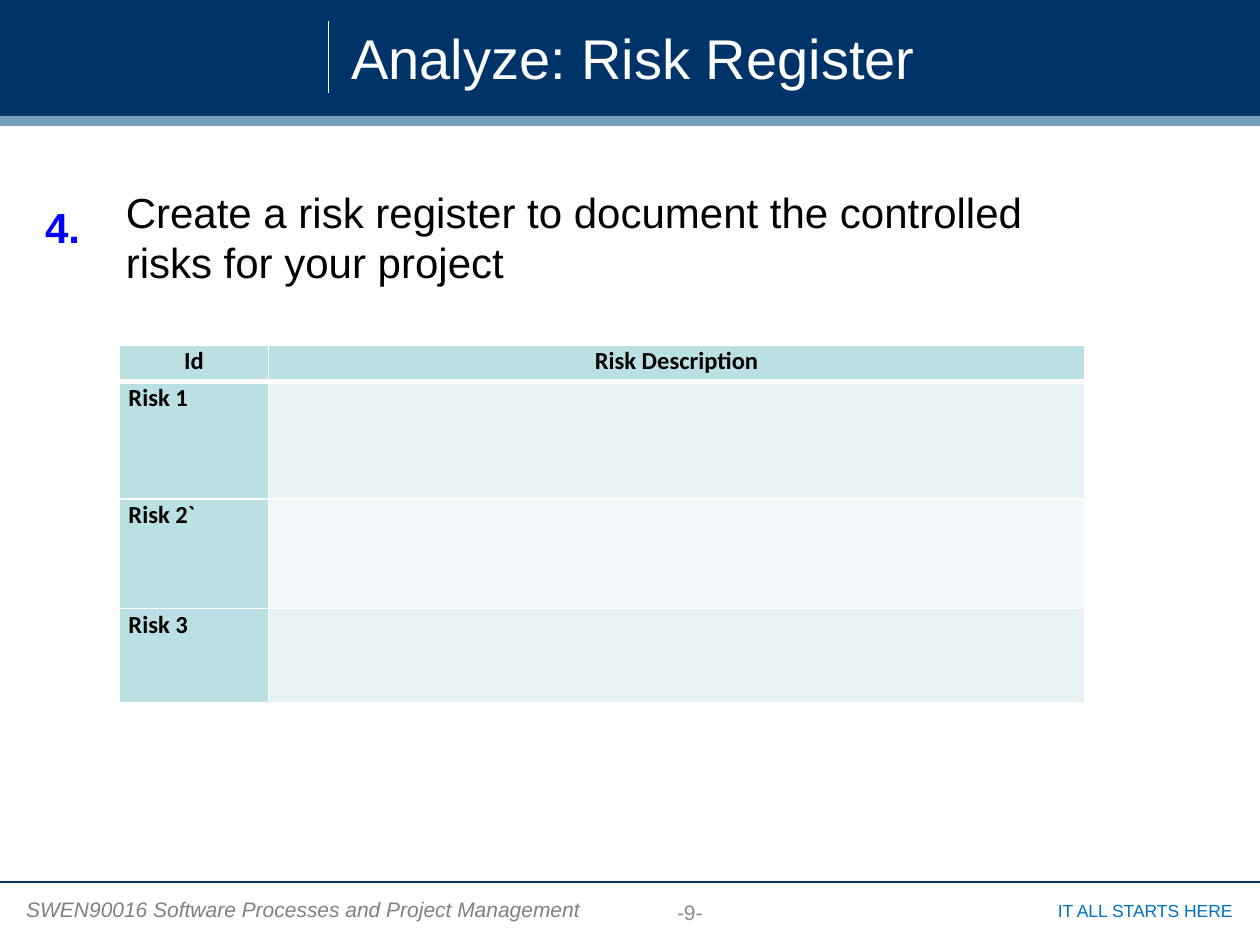
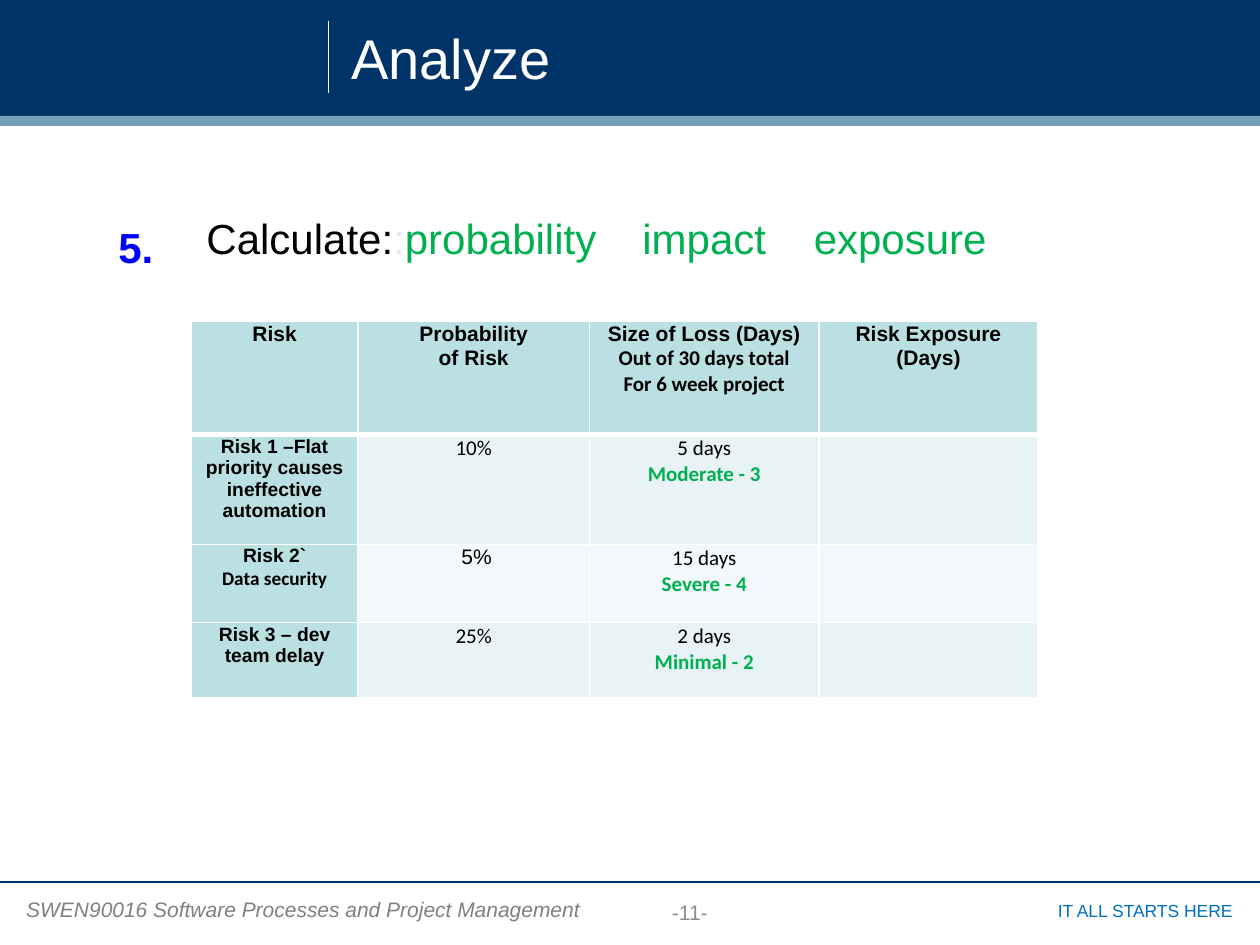
"""Build two risk analysis slides: a risk register and a risk exposure table."""
import lxml.etree
import pptx
import pptx.dml.color
import pptx.enum.shapes
import pptx.enum.text
import pptx.oxml.ns
import pptx.util

Inches = pptx.util.Inches
Pt = pptx.util.Pt
qn = pptx.oxml.ns.qn
ALIGN = pptx.enum.text.PP_ALIGN
MIDDLE = pptx.enum.text.MSO_ANCHOR.MIDDLE
TOP = pptx.enum.text.MSO_ANCHOR.TOP

NAVY = "003368"
STEEL = "759FB8"
WHITE = "FFFFFF"
BLACK = "000000"
BLUE = "0000FF"
GREEN = "00B050"
HEADER_TEAL = "BBE0E3"
ROW_TEALS = ["E7F3F4", "F3F9FA"]


def paint(fill, color):
    fill.solid()
    fill.fore_color.rgb = pptx.dml.color.RGBColor.from_string(color)


def write(paragraph, text, size=24, font="Arial", color=BLACK, bold=False, italic=False, align=ALIGN.LEFT):
    paragraph.alignment = align
    run = paragraph.add_run()
    run.text = text
    run.font.size = Pt(size)
    run.font.name = font
    run.font.bold = bold
    run.font.italic = italic
    paint(run.font.fill, color)


number = dict(color=BLUE, bold=True)
register_left = dict(size=14, font="Calibri", bold=True)
register_head = dict(register_left, align=ALIGN.CENTER)
head = dict(size=12, bold=True, align=ALIGN.CENTER)
head_note = dict(head, font="Calibri")
risk = dict(head, size=11)
risk_note = dict(risk, font="Calibri")
value = dict(head_note, bold=False)
rating = dict(head_note, color=GREEN)

slides = [
    dict(
        title="Analyze: Risk Register",
        page="-9-",
        step=("4.", 0.26, 1.55),
        task_place=(0.9, 1.43, 7.88, 0.91),
        task=[("Create a risk register to document the controlled risks for your project", BLACK)],
        tabs=[],
        table_corner=(0.95, 2.74),
        columns=[1.18, 6.48],
        rows=[0.29, 0.93, 0.87, 0.75],
        cells=[
            [[("Id", register_head)], [("Risk Description", register_head)]],
            [[("Risk 1", register_left)], []],
            [[("Risk 2`", register_left)], []],
            [[("Risk 3", register_left)], []],
        ],
    ),
    dict(
        title="Analyze",
        page="-11-",
        step=("5.", 0.84, 1.71),
        task_place=(1.54, 1.64, 6.82, 0.5),
        task=[("Calculate:", BLACK), (":", "DAEDEF"), ("probability\timpact\texposure", GREEN)],
        tabs=[3.46, 4.82],
        table_corner=(1.52, 2.55),
        columns=[1.32, 1.84, 1.82, 1.74],
        rows=[0.9, 0.87, 0.62, 0.6],
        cells=[
            [
                [("Risk", head)],
                [("Probability", head), ("of Risk", head)],
                [("Size of Loss (Days)", head), ("Out of 30 days total", head_note), ("For 6 week project", head_note)],
                [("Risk Exposure", head), ("(Days)", head)],
            ],
            [
                [("Risk 1 –Flat priority causes ineffective automation", risk)],
                [("10%", value)],
                [("5 days", value), ("Moderate - 3", rating)],
                [],
            ],
            [
                [("Risk 2`", risk), ("Data security", risk_note)],
                [(" 5%", dict(value, font="Arial"))],
                [("15 days", value), ("Severe - 4", rating)],
                [],
            ],
            [
                [("Risk 3 – dev team delay", risk)],
                [("25%", value)],
                [("2 days", value), ("Minimal - 2", rating)],
                [],
            ],
        ],
    ),
]

presentation = pptx.Presentation()
presentation.slide_width = Inches(10)
presentation.slide_height = Inches(7.5)

for content in slides:
    slide = presentation.slides.add_slide(presentation.slide_layouts[6])

    for top, height, color in [(0, 0.92, NAVY), (0.92, 0.08, STEEL)]:
        band = slide.shapes.add_shape(
            pptx.enum.shapes.MSO_SHAPE.RECTANGLE, 0, Inches(top), Inches(10), Inches(height)
        )
        band.shadow.inherit = False
        band.line.fill.background()
        paint(band.fill, color)

    for x1, y1, x2, y2, color in [(2.61, 0.17, 2.61, 0.74, WHITE), (0, 7, 10, 7, NAVY)]:
        rule = slide.shapes.add_connector(
            pptx.enum.shapes.MSO_CONNECTOR.STRAIGHT, Inches(x1), Inches(y1), Inches(x2), Inches(y2)
        )
        rule.line.width = Pt(0.75)
        paint(rule.line.fill, color)
        lxml.etree.SubElement(rule._element.spPr, qn("a:effectLst"))

    step_text, step_left, step_top = content["step"]
    boxes = [
        ((0.11, 7.07, 4.8, 0.3), TOP, "SWEN90016 Software Processes and Project Management",
         dict(size=12, color="808080", italic=True)),
        ((7.82, 7.09, 2.06, 0.27), TOP, "IT ALL STARTS HERE", dict(size=10, color="0070C0", align=ALIGN.RIGHT)),
        ((2.69, 0.08, 7.22, 0.75), MIDDLE, content["title"], dict(size=32, color=WHITE)),
        ((3.97, 7.07, 3.01, 0.34), MIDDLE, content["page"], dict(size=12, color="8C8C8C", align=ALIGN.CENTER)),
        ((step_left, step_top, 0.62, 0.5), TOP, step_text, number),
        (content["task_place"], TOP, None, {}),
    ]
    for place, anchor, text, text_format in boxes:
        frame = slide.shapes.add_textbox(*map(Inches, place)).text_frame
        frame.word_wrap = True
        frame.vertical_anchor = anchor
        paragraph = frame.paragraphs[0]
        if text:
            write(paragraph, text, **text_format)
            continue
        if content["tabs"]:
            tab_list = lxml.etree.SubElement(paragraph._p.get_or_add_pPr(), qn("a:tabLst"))
            for position in content["tabs"]:
                lxml.etree.SubElement(tab_list, qn("a:tab"), pos=str(Inches(position)), algn="l")
        for part, color in content["task"]:
            write(paragraph, part, color=color)

    columns, rows = content["columns"], content["rows"]
    left, top = content["table_corner"]
    table = slide.shapes.add_table(
        len(rows), len(columns), Inches(left), Inches(top), Inches(sum(columns)), Inches(sum(rows))
    ).table
    table.first_row = False
    table.horz_banding = False
    for column, width in zip(table.columns, columns):
        column.width = Inches(width)
    for row_index, (row, height) in enumerate(zip(table.rows, rows)):
        row.height = Inches(height)
        for column_index, lines in enumerate(content["cells"][row_index]):
            cell = table.cell(row_index, column_index)
            cell.margin_left = cell.margin_right = Inches(0.07)
            cell.margin_top = Inches(0.01)
            cell.margin_bottom = 0
            for side in "LRTB":
                thick = (row_index, side) in [(0, "B"), (1, "T")]
                border = lxml.etree.SubElement(
                    cell._tc.get_or_add_tcPr(), qn(f"a:ln{side}"), w=str(Pt(3 if thick else 1))
                )
                border_fill = lxml.etree.SubElement(border, qn("a:solidFill"))
                lxml.etree.SubElement(border_fill, qn("a:srgbClr"), val=WHITE)
            is_header = row_index == 0 or column_index == 0
            paint(cell.fill, HEADER_TEAL if is_header else ROW_TEALS[(row_index - 1) % 2])
            for line_index, (text, text_format) in enumerate(lines):
                frame = cell.text_frame
                paragraph = frame.add_paragraph() if line_index else frame.paragraphs[0]
                write(paragraph, text, **text_format)

presentation.save("out.pptx")
